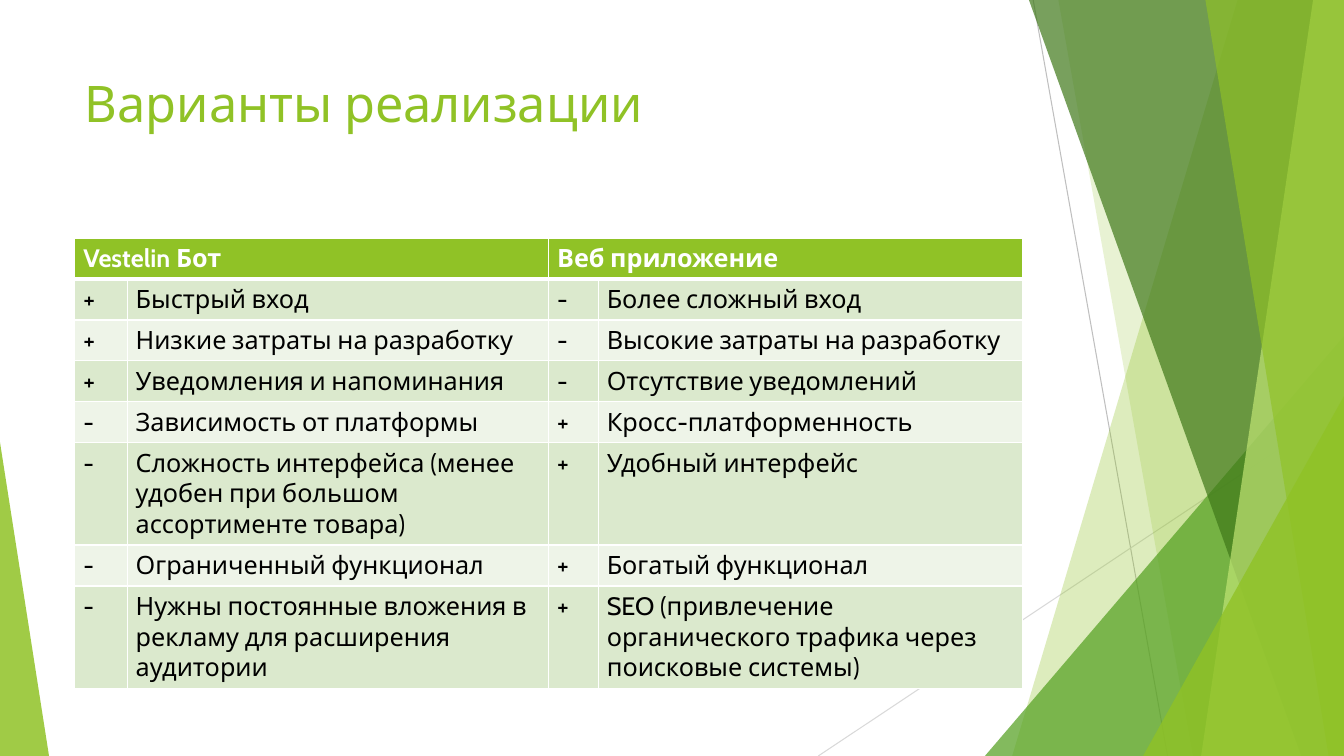
import dataclasses

import lxml.etree
import pptx
import pptx.dml.color
import pptx.enum.shapes
import pptx.enum.text
import pptx.oxml.ns
import pptx.util

Pt = pptx.util.Pt
qn = pptx.oxml.ns.qn


@dataclasses.dataclass(frozen=True)
class Theme:
    """Hold the colours, font and type sizes."""
    font: str = "Cabin"
    head: int = 36
    body: int = 18
    green: str = "90C226"
    leaf: str = "54A021"
    moss: str = "3F7819"
    lime: str = "C0E474"
    white: str = "FFFFFF"
    black: str = "000000"
    bands: tuple = ("DBE9CD", "EEF4E8")
    grey: str = "BFBFBF"
    pale: str = "D9D9D9"


THEME = Theme()
WIDE, HIGH = 960, 540

LINES = [
    ((738, 0), (834, HIGH), THEME.grey),
    ((WIDE, 290), (584.5, HIGH), THEME.pale),
]

SHARDS = [
    ("band", (884, 723), THEME.green, 30),
    ("band", (756, 852), THEME.green, 20),
    ("peak", (703.5, 240, 256.5, 300, 1), THEME.leaf, 72),
    ("band", (735, 929.5), THEME.moss, 70),
    ("band", (938, 858), THEME.lime, 70),
    ("band", (861, 949), THEME.green, 65),
    ("peak", (816.5, 283, 143.5, 257, 1), THEME.green, 80),
    ("peak", (0, 316, 35, 224, 0), THEME.green, 85),
]

COLS = [37.5, 301, 35.5, 303]
ROW = 29.2
HEADS = ["Vestelin Бот", "Веб приложение"]
ROWS = [
    ("+", "Быстрый вход", "-", "Более сложный вход"),
    ("+", "Низкие затраты на разработку", "-", "Высокие затраты на разработку"),
    ("+", "Уведомления и напоминания", "-", "Отсутствие уведомлений"),
    ("-", "Зависимость от платформы", "+", "Кросс-платформенность"),
    ("-", "Сложность интерфейса (менее удобен при большом ассортименте товара)",
     "+", "Удобный интерфейс"),
    ("-", "Ограниченный функционал", "+", "Богатый функционал"),
    ("-", "Нужны постоянные вложения в рекламу для расширения аудитории",
     "+", "SEO (привлечение органического трафика через поисковые системы)"),
]


def rgb(code):
    """Turn a hex code into a colour."""
    return pptx.dml.color.RGBColor.from_string(code)


def put(item, vals):
    """Set each named value on the item."""
    for name, val in vals.items():
        setattr(item, name, val)


def paint(item, code):
    """Give the item a solid fill."""
    item.fill.solid()
    item.fill.fore_color.rgb = rgb(code)


def write(frame, text, size, code, bold=False):
    """Write one styled run into a text frame."""
    run = frame.paragraphs[0].add_run()
    run.text = text
    put(run.font, {"name": THEME.font, "size": Pt(size), "bold": bold})
    run.font.color.rgb = rgb(code)


def add_line(slide, start, end, code):
    """Draw a thin line between two points."""
    kind = pptx.enum.shapes.MSO_CONNECTOR.STRAIGHT
    line = slide.shapes.add_connector(kind, *map(Pt, start + end))
    line.line.width = Pt(0.75)
    line.line.color.rgb = rgb(code)
    lxml.etree.SubElement(line.element.spPr, qn("a:effectLst"))


def add_band(slide, top, base):
    """Draw a full-height shard that ends at the right edge."""
    pen = slide.shapes.build_freeform(Pt(top), 0)
    pen.add_line_segments([(Pt(x), Pt(y)) for x, y in
                           ((WIDE, 0), (WIDE, HIGH), (base, HIGH))])
    return pen.convert_to_shape()


def add_peak(slide, left, top, wide, high, tip):
    """Draw a triangle with its tip at the given share of its width."""
    kind = pptx.enum.shapes.MSO_SHAPE.ISOSCELES_TRIANGLE
    peak = slide.shapes.add_shape(kind, *map(Pt, (left, top, wide, high)))
    peak.adjustments[0] = tip
    return peak


def add_shard(slide, kind, size, code, alpha):
    """Draw a see-through shard of either kind."""
    draw = {"band": add_band, "peak": add_peak}[kind]
    shard = draw(slide, *size)
    shard.shadow.inherit = False
    shard.line.fill.background()
    paint(shard, code)
    tint = shard.element.spPr.find(".//" + qn("a:srgbClr"))
    lxml.etree.SubElement(tint, qn("a:alpha"), val=str(alpha * 1000))


def add_title(slide, text):
    """Place and fill the title."""
    title = slide.shapes.title
    put(title, {"left": Pt(53.5), "top": Pt(48),
                "width": Pt(677), "height": Pt(104)})
    put(title.text_frame, {
        "word_wrap": True,
        "auto_size": pptx.enum.text.MSO_AUTO_SIZE.NONE,
        "vertical_anchor": pptx.enum.text.MSO_ANCHOR.TOP})
    title.text_frame.paragraphs[0].alignment = pptx.enum.text.PP_ALIGN.LEFT
    write(title.text_frame, text, THEME.head, THEME.green)


def edge(cell, side, width):
    """Add a white border to one side of a cell."""
    props = cell._tc.get_or_add_tcPr()
    line = lxml.etree.SubElement(props, qn("a:ln" + side), w=str(Pt(width)))
    fill = lxml.etree.SubElement(line, qn("a:solidFill"))
    lxml.etree.SubElement(fill, qn("a:srgbClr"), val=THEME.white)


def style(cell, code, top, base):
    """Set the margins, borders and fill of a cell."""
    put(cell, {"margin_left": Pt(6), "margin_right": Pt(6),
               "margin_top": Pt(3.6), "margin_bottom": Pt(3.6)})
    for side, width in zip("LRTB", (1, 1, top, base)):
        edge(cell, side, width)
    paint(cell, code)


def add_grid(slide):
    """Build the table that compares both options."""
    count = len(ROWS) + 1
    size = map(Pt, (53.5, 170.2, sum(COLS), ROW * count))
    grid = slide.shapes.add_table(count, len(COLS), *size).table
    for col, width in zip(grid.columns, COLS):
        col.width = Pt(width)
    for row in grid.rows:
        row.height = Pt(ROW)
    for col in range(len(COLS)):
        style(grid.cell(0, col), THEME.green, 1, 3)
    for num, text in enumerate(HEADS):
        cell = grid.cell(0, 2 * num)
        cell.merge(grid.cell(0, 2 * num + 1))
        write(cell.text_frame, text, THEME.body, THEME.white, True)
    for num, row in enumerate(ROWS):
        for col, text in enumerate(row):
            cell = grid.cell(num + 1, col)
            style(cell, THEME.bands[num % 2], 1 if num else 3, 1)
            write(cell.text_frame, text, THEME.body, THEME.black)


def main():
    """Build and save the slide."""
    deck = pptx.Presentation()
    put(deck, {"slide_width": Pt(WIDE), "slide_height": Pt(HIGH)})
    slide = deck.slides.add_slide(deck.slide_layouts[5])
    for line in LINES:
        add_line(slide, *line)
    for shard in SHARDS:
        add_shard(slide, *shard)
    add_title(slide, "Варианты реализации")
    add_grid(slide)
    deck.save("out.pptx")


if __name__ == "__main__":
    main()
